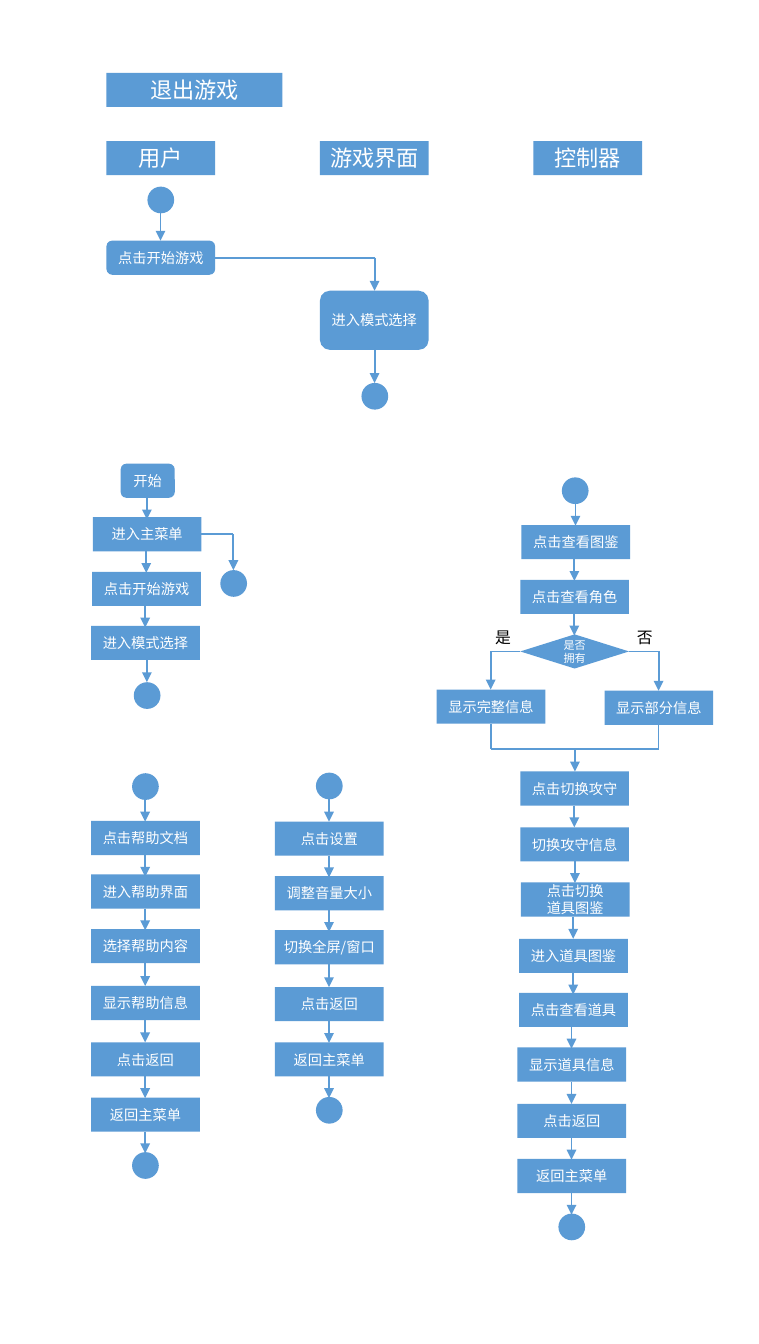
from dataclasses import dataclass
from itertools import pairwise

from lxml import etree
from pptx import Presentation
from pptx import util as u
from pptx.dml.color import RGBColor
from pptx.enum import shapes, text
from pptx.oxml.ns import qn

PX = 9144  # 100 px to the inch
BLUE = RGBColor(0x5B, 0x9B, 0xD5)
WHITE = RGBColor(0xFF, 0xFF, 0xFF)
BLACK = RGBColor(0, 0, 0)
FONT = "Noto Sans CJK SC"

RECT = shapes.MSO_SHAPE.RECTANGLE
ROUND = shapes.MSO_SHAPE.ROUNDED_RECTANGLE
DOT = shapes.MSO_SHAPE.OVAL
DECISION = shapes.MSO_SHAPE.FLOWCHART_DECISION
CENTER = text.PP_ALIGN.CENTER

STEP_WIDTH, STEP_HEIGHT, DOT_SIZE = 191, 60, 47
ARROW_LENGTH = 38


@dataclass
class Box:
    left: int
    top: int
    width: int = STEP_WIDTH
    height: int = STEP_HEIGHT

    @property
    def bottom(self):
        return self.top + self.height

    @property
    def center(self):
        return self.left + self.width // 2

    @property
    def middle(self):
        return self.top + self.height // 2


@dataclass
class Step:
    """A node of a flow: top below the flow's start, drift from its axis."""
    top: int
    words: str
    kind: int = RECT
    drift: int = 0
    width: int = STEP_WIDTH
    height: int = STEP_HEIGHT
    size: int = 18


def dot(top, drift=0):
    return Step(top, "", DOT, drift, DOT_SIZE, DOT_SIZE)


def write(frame, words, size=18, color=WHITE, align=CENTER):
    for index, line in enumerate(words.split("\n")):
        para = frame.paragraphs[0] if index == 0 else frame.add_paragraph()
        para.alignment = align
        span = para.add_run()
        span.text = line
        span.font.size = u.Pt(size)
        span.font.name = FONT
        span.font.color.rgb = color
        east_asian = etree.SubElement(span.font._element, qn("a:ea"))
        east_asian.set("typeface", FONT)


def draw_node(page, box, words="", kind=RECT, size=18):
    node = page.shapes.add_shape(
        kind, box.left * PX, box.top * PX, box.width * PX, box.height * PX)
    node.shadow.inherit = False
    node.fill.solid()
    node.fill.fore_color.rgb = BLUE
    node.line.fill.background()
    if words:
        node.text_frame.word_wrap = True
        node.text_frame.vertical_anchor = text.MSO_ANCHOR.MIDDLE
        write(node.text_frame, words, size)
    return box


def draw_label(page, left, top, words):
    label = page.shapes.add_textbox(left * PX, top * PX, 48 * PX, 44 * PX)
    label.text_frame.word_wrap = False
    label.text_frame.auto_size = text.MSO_AUTO_SIZE.SHAPE_TO_FIT_TEXT
    write(label.text_frame, words, 20, BLACK, text.PP_ALIGN.LEFT)


def wire(page, *points, arrow=True):
    """Join points with straight lines, the last one with an arrowhead."""
    for start, end in pairwise(points):
        line = page.shapes.add_connector(
            shapes.MSO_CONNECTOR.STRAIGHT, *(n * PX for n in start + end))
        headed = arrow and end == points[-1]
        line.line.color.rgb = BLUE
        line.line.width = u.Pt(2.5 if headed else 2.25)
        if headed:
            etree.SubElement(line.line._ln, qn("a:tailEnd"),
                             type="triangle", w="lg", len="lg")
        etree.SubElement(line._element.spPr, qn("a:effectLst"))


def draw_flow(page, axis, top, steps):
    """Stack steps on a vertical axis, joined by arrows; return their boxes."""
    boxes = []
    for step in steps:
        box = Box(axis + step.drift - step.width // 2, top + step.top,
                  step.width, step.height)
        boxes.append(draw_node(page, box, step.words, step.kind, step.size))
    for upper, lower in pairwise(boxes):
        tip = max(lower.top, upper.bottom + ARROW_LENGTH)
        wire(page, (lower.center, upper.bottom), (lower.center, tip))
    return boxes


def draw_exit_game(page, area):
    draw_node(page, Box(area.left, area.top, 309), "退出游戏", size=28)
    lane_gap = (area.width - STEP_WIDTH) // 2
    for lane, name in enumerate(("用户", "游戏界面", "控制器")):
        draw_node(page, Box(area.left + lane * lane_gap, area.top + 120),
                  name, size=28)
    axis = area.left + STEP_WIDTH // 2
    _, click = draw_flow(page, axis, area.top, [
        dot(200), Step(295, "点击开始游戏", ROUND)])
    mode, _ = draw_flow(page, axis + lane_gap, area.top, [
        Step(383, "进入模式选择", ROUND, height=104), dot(545, 1)])
    corner = mode.center + 1
    wire(page, (click.left + click.width, click.middle),
         (corner, click.middle), (corner, mode.top))


def draw_main_menu(page, area):
    menu = draw_flow(page, area.center, area.top, [
        Step(0, "开始", ROUND, 1, width=95),
        Step(94, "进入主菜单"),
        Step(190, "点击开始游戏", drift=-1),
        Step(285, "进入模式选择", drift=-3),
        dot(384)])[1]
    leave = draw_node(page, Box(area.left + 224, area.top + 187,
                                DOT_SIZE, DOT_SIZE), kind=DOT)
    wire(page, (menu.left + menu.width, menu.middle),
         (leave.center, menu.middle), (leave.center, leave.top))


def draw_help(page, area):
    names = ("点击帮助文档", "进入帮助界面", "选择帮助内容",
             "显示帮助信息", "点击返回", "返回主菜单")
    tops = (84, 178, 274, 374, 473, 570)
    draw_flow(page, area.center, area.top,
              [dot(0), *map(Step, tops, names), dot(666)])


def draw_settings(page, area):
    names = ("点击设置", "调整音量大小", "切换全屏/窗口", "点击返回", "返回主菜单")
    tops = (86, 182, 277, 377, 474)
    draw_flow(page, area.center, area.top,
              [dot(0), *map(Step, tops, names), dot(570)])


def draw_gallery(page, area):
    axis, top = area.center, area.top
    owned = draw_flow(page, axis, top, [
        dot(0, 1), Step(84, "点击查看图鉴", drift=2), Step(180, "点击查看角色"),
        Step(276, "是否\n拥有", DECISION, size=14)])[-1]
    first = draw_flow(page, axis, top, [
        Step(517, "点击切换攻守"), Step(615, "切换攻守信息"),
        Step(712, "点击切换\n道具图鉴", drift=1),
        Step(811, "进入道具图鉴", drift=-2), Step(906, "点击查看道具", drift=-2),
        Step(1002, "显示道具信息", drift=-5), Step(1101, "点击返回", drift=-5),
        Step(1198, "返回主菜单", drift=-5), dot(1294, -5)])[0]
    merge = top + 478
    branches = (
        (Box(area.left, top + 373), "显示完整信息", owned.left),
        (Box(area.left + 295, top + 375), "显示部分信息",
         owned.left + owned.width))
    for box, words, corner in branches:
        draw_node(page, box, words)
        wire(page, (corner, owned.middle), (box.center, owned.middle),
             (box.center, box.top))
        wire(page, (box.center, box.bottom), (box.center, merge), arrow=False)
    left, right = (box.center for box, _, _ in branches)
    wire(page, (left, merge), (right, merge), arrow=False)
    wire(page, (axis + 1, merge), (axis + 1, first.top))
    draw_label(page, area.left + 93, top + 260, "是")
    draw_label(page, area.left + 342, top + 260, "否")


def main():
    deck = Presentation()
    deck.slide_width, deck.slide_height = u.Emu(12192000), u.Cm(60)
    page = deck.slides.add_slide(deck.slide_layouts[6])
    draw_exit_game(page, Box(187, 128, 942, 592))
    draw_main_menu(page, Box(163, 815, 191, 431))
    draw_help(page, Box(160, 1359, 191, 713))
    draw_settings(page, Box(483, 1358, 191, 617))
    draw_gallery(page, Box(767, 839, 485, 1341))
    deck.save("out.pptx")


if __name__ == "__main__":
    main()
